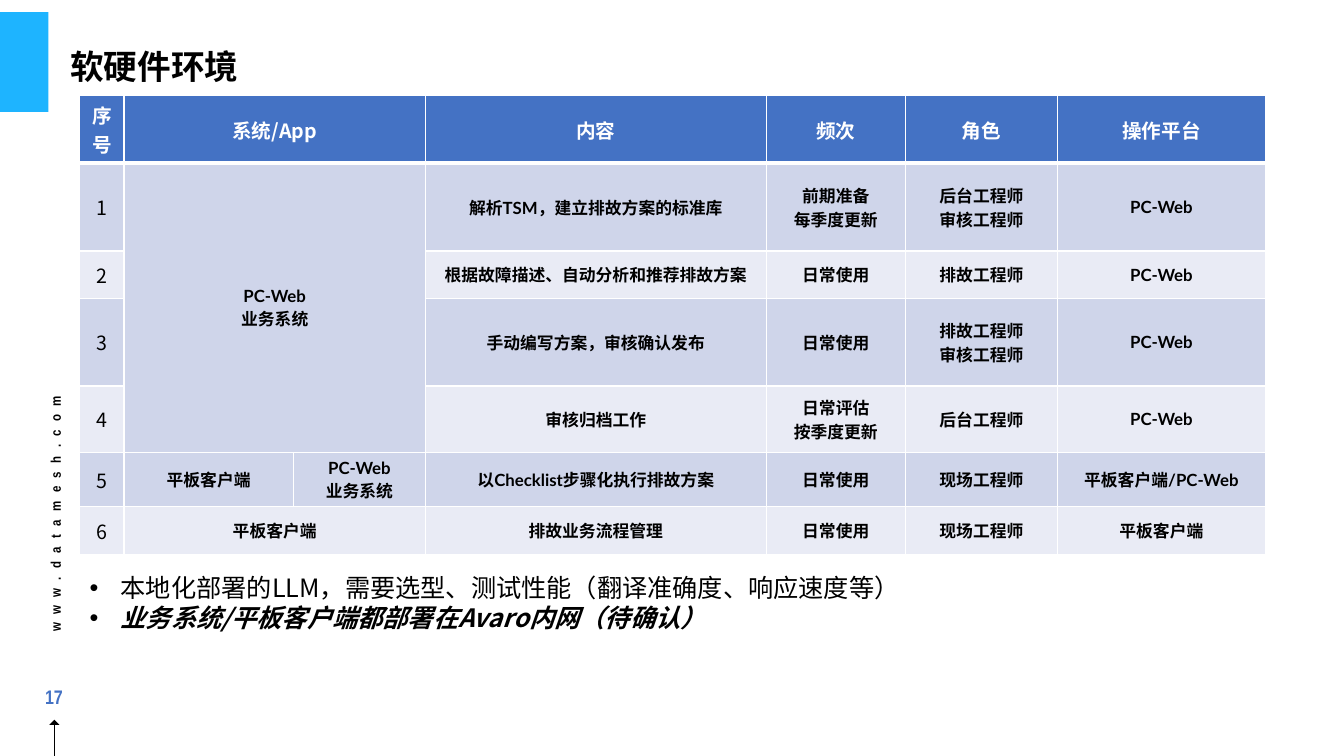
from lxml import etree
from pptx import Presentation
from pptx.dml.color import RGBColor
from pptx.enum import shapes, text
from pptx.oxml import ns
from pptx.util import Inches, Pt

# Content
TITLE = "软硬件环境"
SITE = "www.datamesh.com"
PAGE = "17"
HEADER = ["序号", "系统/App", "", "内容", "频次", "角色", "操作平台"]
TASKS = [
    ["1", "PC-Web\n业务系统", "", "解析TSM，建立排故方案的标准库", "前期准备\n每季度更新",
     "后台工程师\n审核工程师", "PC-Web"],
    ["2", "", "", "根据故障描述、自动分析和推荐排故方案", "日常使用", "排故工程师", "PC-Web"],
    ["3", "", "", "手动编写方案，审核确认发布", "日常使用", "排故工程师\n审核工程师", "PC-Web"],
    ["4", "", "", "审核归档工作", "日常评估\n按季度更新", "后台工程师", "PC-Web"],
    ["5", "平板客户端", "PC-Web\n业务系统", "以Checklist步骤化执行排故方案", "日常使用",
     "现场工程师", "平板客户端/PC-Web"],
    ["6", "平板客户端", "", "排故业务流程管理", "日常使用", "现场工程师", "平板客户端"],
]
MERGES = [((0, 1), (0, 2)), ((1, 1), (4, 2)), ((6, 1), (6, 2))]
COLUMN_WIDTHS = [0.44, 1.68, 1.31, 3.38, 1.38, 1.51, 2.06]
ROW_HEIGHTS = [0.67, 0.87, 0.47, 0.87, 0.66, 0.54, 0.47]
NOTES = [
    ("本地化部署的LLM，需要选型、测试性能（翻译准确度、响应速度等）", False),
    ("业务系统/平板客户端都部署在Avaro内网（待确认）", True),
]

SANS, LATO, NARROW = "Noto Sans CJK SC", "Lato", "Arial Narrow"
BLACK, WHITE, BLUE, SKY = "000000", "FFFFFF", "4472C4", "1EB4FF"
BANDS = ["CFD5EA", "E9EBF5"]


def rgb(value):
    return RGBColor.from_string(value)


def box(*place):
    return [Inches(n) for n in place]


def add_xml(parent, tag, **attributes):
    return etree.SubElement(parent, ns.qn(tag), attributes)


def style(paragraph, size, face, color=BLACK, bold=False, italic=False):
    font = paragraph.font
    font.size, font.name, font.bold, font.italic = Pt(size), face, bold, italic
    font.color.rgb = rgb(color)
    add_xml(paragraph._p.pPr.find(ns.qn("a:defRPr")), "a:ea", typeface=SANS)


def add_text(place, content="", wrap=True, anchor=text.MSO_ANCHOR.TOP):
    area = slide.shapes.add_textbox(*box(*place))
    frame = area.text_frame
    frame.word_wrap, frame.vertical_anchor, frame.text = wrap, anchor, content
    return area, frame.paragraphs[0]


def add_solid(kind, place, color):
    solid = slide.shapes.add_shape(kind, *box(*place))
    solid.shadow.inherit = False
    solid.fill.solid()
    solid.fill.fore_color.rgb = rgb(color)
    solid.line.fill.background()


def add_borders(cell, widths):
    properties = cell._tc.get_or_add_tcPr()
    for position, (side, points) in enumerate(widths.items()):
        edge = etree.Element(ns.qn("a:" + side), w=str(Pt(points)))
        add_xml(add_xml(edge, "a:solidFill"), "a:srgbClr", val=WHITE)
        properties.insert(position, edge)


deck = Presentation()
deck.slide_width, deck.slide_height = box(13.33, 7.5)
slide = deck.slides.add_slide(deck.slide_layouts[6])

# Left margin: accent, web address, page number, arrow
add_solid(shapes.MSO_SHAPE.RECTANGLE, (0, 0.12, 0.48, 0.99), SKY)

site, site_line = add_text((-0.72, 4.96, 2.54, 0.27), SITE, wrap=False)
site.rotation = 270
style(site_line, 10, NARROW, bold=True)
site_line._p.pPr.find(ns.qn("a:defRPr")).set("spc", "600")

page, page_line = add_text((0.19, 6.64, 0.69, 0.54), PAGE, False, text.MSO_ANCHOR.MIDDLE)
page.text_frame.margin_left = page.text_frame.margin_right = Inches(0.13)
page.text_frame.margin_top = page.text_frame.margin_bottom = Inches(0.07)
page_line.alignment = text.PP_ALIGN.CENTER
style(page_line, 14, NARROW, BLUE, bold=True)

stem = slide.shapes.add_connector(shapes.MSO_CONNECTOR.STRAIGHT, *box(0.54, 7.15, 0.54, 7.5))
stem.line.color.rgb = rgb(BLACK)
stem.line.width = Pt(1)
add_xml(stem._element.spPr, "a:effectLst")
add_solid(shapes.MSO_SHAPE.ISOSCELES_TRIANGLE, (0.49, 7.14, 0.1, 0.05), BLACK)

# Title
_, title_line = add_text((0.6, 0.15, 11.5, 1.07), TITLE, anchor=text.MSO_ANCHOR.MIDDLE)
title_line.line_spacing = 0.9
style(title_line, 24, SANS, bold=True)

# Task table
rows = [HEADER] + TASKS
tasks = slide.shapes.add_table(
    len(rows), len(HEADER), *box(0.79, 0.95, sum(COLUMN_WIDTHS), sum(ROW_HEIGHTS))).table
for column, width in zip(tasks.columns, COLUMN_WIDTHS):
    column.width = Inches(width)
for row, height in zip(tasks.rows, ROW_HEIGHTS):
    row.height = Inches(height)

for r, entries in enumerate(rows):
    for c, entry in enumerate(entries):
        cell = tasks.cell(r, c)
        cell.text = entry
        cell.vertical_anchor = text.MSO_ANCHOR.MIDDLE
        cell.fill.solid()
        cell.fill.fore_color.rgb = rgb(BANDS[(r - 1) % 2] if r else BLUE)
        add_borders(cell, {"lnL": 1, "lnR": 1, "lnT": 3 if r == 1 else 1,
                           "lnB": 1 if r else 3})
        for line in cell.text_frame.paragraphs:
            line.alignment = text.PP_ALIGN.CENTER
            if r == 0:
                style(line, 14, SANS, WHITE, bold=True)
            elif c == 0:
                style(line, 14, SANS)
            else:
                style(line, 12, LATO, bold=True)
for first, last in MERGES:
    tasks.cell(*first).merge(tasks.cell(*last))

# Notes under the table
notes, note_line = add_text((0.79, 5.63, 11.76, 0.71))
for i, (note, stressed) in enumerate(NOTES):
    if i:
        note_line = notes.text_frame.add_paragraph()
    note_line.text = note
    properties = note_line._p.get_or_add_pPr()
    properties.set("marL", str(Inches(0.31)))
    properties.set("indent", str(-Inches(0.31)))
    add_xml(properties, "a:buFont", typeface="Arial")
    add_xml(properties, "a:buChar", char="•")
    style(note_line, 18, SANS, bold=stressed, italic=stressed)

deck.save("out.pptx")
